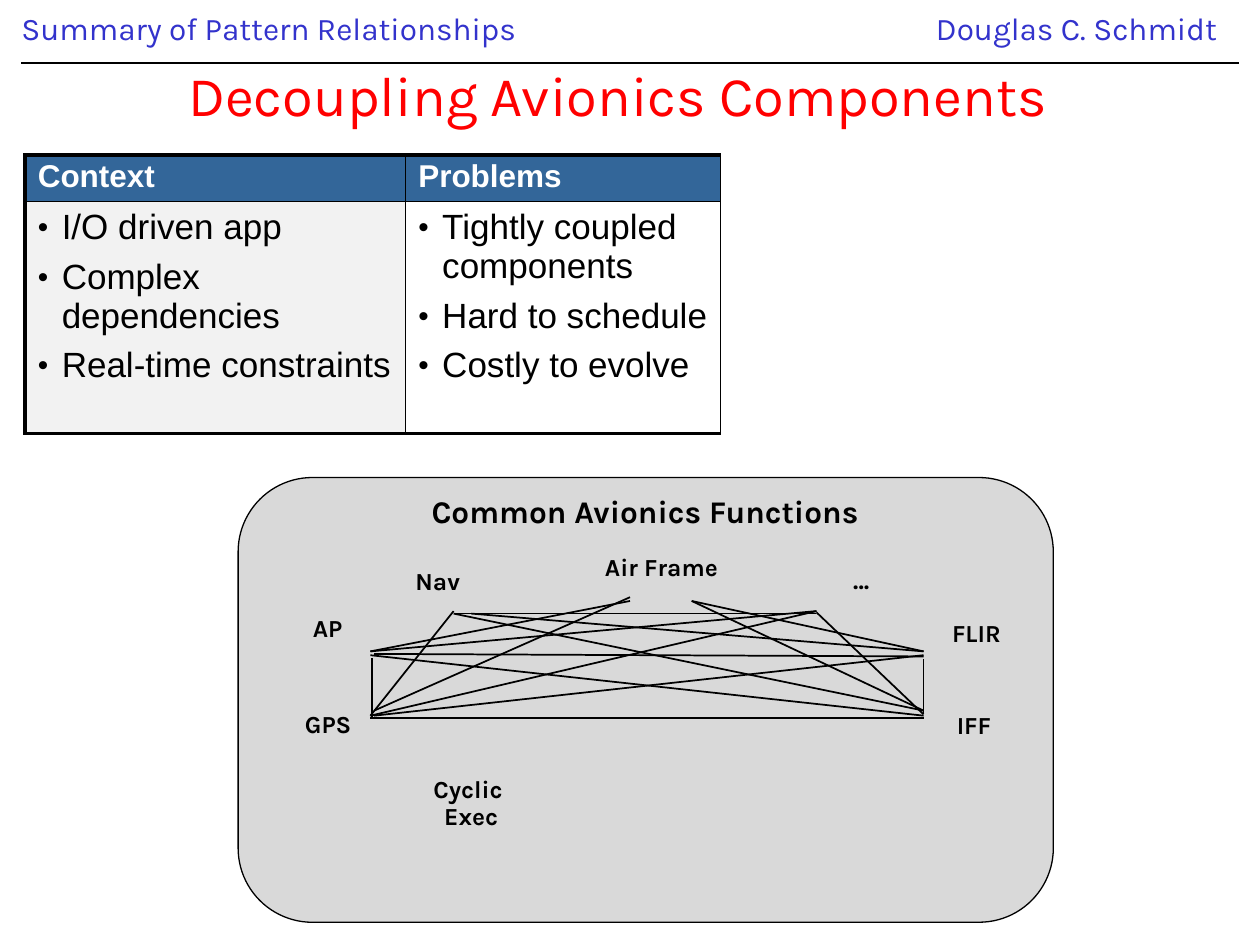
"""Build the slide on decoupling avionics components."""
from copy import deepcopy
from dataclasses import dataclass

from lxml import etree
from pptx import Presentation
from pptx import util as u
from pptx.dml.color import RGBColor
from pptx.enum import shapes, text
from pptx.oxml.ns import qn


@dataclass(frozen=True)
class Theme:
    black: str = "000000"
    white: str = "FFFFFF"
    blue: str = "3333CC"
    red: str = "FF0000"
    header: str = "336699"
    cell: str = "F2F2F2"
    panel: str = "D9D9D9"
    title_size: int = 32
    bullet_size: int = 20
    head_size: int = 18
    label_size: int = 14
    main: str = "Karla"
    table: str = "Arial"


T = Theme()
LEFT, CENTER = text.PP_ALIGN.LEFT, text.PP_ALIGN.CENTER


def write(tf, content, font=T.main, size=T.head_size, color=T.black, bold=False,
          align=LEFT, spacing=None, bullet=False):
    for i, line in enumerate(content.split("\n")):
        p = tf.paragraphs[0] if i == 0 else tf.add_paragraph()
        p.text = line
        p.alignment = align
        if spacing:
            p.line_spacing = spacing
        if bullet:
            p.space_before = u.Pt(6 if i else 0)
            pPr = p._p.get_or_add_pPr()
            pPr.set("marL", str(u.Inches(0.19)))
            pPr.set("indent", str(u.Inches(-0.19)))
            clr = etree.SubElement(pPr, qn("a:buClr"))
            etree.SubElement(clr, qn("a:srgbClr"), val=T.black)
            etree.SubElement(pPr, qn("a:buSzPct"), val="85000")
            etree.SubElement(pPr, qn("a:buFont"), typeface=font)
            etree.SubElement(pPr, qn("a:buChar"), char="•")
        for r in p.runs:
            r.font.name, r.font.size, r.font.bold = font, u.Pt(size), bold
            r.font.color.rgb = RGBColor.from_string(color)
        for br in p._p.findall(qn("a:br")):
            br.append(deepcopy(p.runs[0]._r.rPr))


prs = Presentation()
prs.slide_width, prs.slide_height = u.Inches(10), u.Inches(7.5)
s = prs.slides.add_slide(prs.slide_layouts[6])

panel = s.shapes.add_shape(shapes.MSO_SHAPE.ROUNDED_RECTANGLE,
                           u.Inches(1.89), u.Inches(3.79), u.Inches(6.47), u.Inches(3.53))
panel.shadow.inherit = False
panel.adjustments[0] = 0.167
panel.fill.solid()
panel.fill.fore_color.rgb = RGBColor.from_string(T.panel)
panel.line.color.rgb = RGBColor.from_string(T.black)
panel.line.width = u.Pt(0.75)

header_rule = (0.17, 0.5, 9.83, 0.5)
dependencies = [
    (2.95, 5.69, 2.95, 5.22), (2.94, 5.68, 3.6, 4.85), (2.97, 5.64, 5, 4.74),
    (2.94, 5.68, 6.48, 4.85), (2.97, 5.68, 7.33, 5.2), (2.94, 5.7, 7.33, 5.7),
    (2.94, 5.2, 7.33, 5.68), (3.6, 4.87, 7.33, 5.64), (5.49, 4.77, 7.33, 5.64),
    (6.48, 4.86, 7.33, 5.67), (7.33, 5.23, 7.33, 5.67), (2.97, 5.19, 7.33, 5.21),
    (3.62, 4.87, 6.48, 4.87), (3.74, 4.87, 7.33, 5.17), (2.94, 5.17, 6.48, 4.85),
    (2.94, 5.17, 5, 4.77), (5.49, 4.77, 7.33, 5.17),
]
for ends in [header_rule, *dependencies]:
    line = s.shapes.add_connector(shapes.MSO_CONNECTOR.STRAIGHT, *map(u.Inches, ends))
    line.line.color.rgb = RGBColor.from_string(T.black)
    line.line.width = u.Pt(0.75 if ends == header_rule else 1)
    etree.SubElement(line._element.spPr, qn("a:effectLst"))

running = dict(color=T.blue, spacing=0.9)
heading = dict(bold=True, align=CENTER, spacing=0.9)
label = dict(heading, size=T.label_size)
texts = [
    ((0.17, 0.06, 5.92, 0.37), "Summary of Pattern Relationships", running),
    ((7.33, 0.06, 2.51, 0.4), "Douglas C. Schmidt", running),
    ((-0.07, 0.25, 9.95, 1), "Decoupling Avionics Components",
     dict(size=T.title_size, color=T.red, align=CENTER)),
    ((3.21, 3.89, 3.82, 0.37), "Common Avionics Functions", heading),
    ((4.68, 4.37, 1.14, 0.3), "Air Frame", label),
    ((2.38, 4.85, 0.44, 0.3), "AP", label),
    ((3.21, 4.48, 0.53, 0.3), "Nav", label),
    ((6.65, 4.47, 0.37, 0.3), "…", label),
    ((2.31, 5.61, 0.59, 0.3), "GPS", label),
    ((7.5, 5.62, 0.46, 0.3), "IFF", label),
    ((7.45, 4.89, 0.6, 0.3), "FLIR", label),
    ((3.34, 6.13, 0.8, 0.51), "Cyclic \vExec", label),
]
for box, content, fmt in texts:
    sp = s.shapes.add_textbox(*map(u.Inches, box))
    tf = sp.text_frame
    tf.word_wrap = fmt is not label
    tf.auto_size = text.MSO_AUTO_SIZE.SHAPE_TO_FIT_TEXT
    if fmt is label:
        tf.margin_left = tf.margin_right = u.Inches(0.04)
        tf.margin_top = tf.margin_bottom = u.Inches(0.04)
    elif fmt.get("size") == T.title_size:
        tf.auto_size = text.MSO_AUTO_SIZE.NONE
        tf.vertical_anchor = text.MSO_ANCHOR.MIDDLE
    elif box[0] == header_rule[0]:
        tf.margin_left = tf.margin_right = 0
    write(tf, content, **fmt)

columns = [
    (3.02, "Context", "I/O driven app\nComplex dependencies\nReal-time constraints", T.cell),
    (2.5, "Problems", "Tightly coupled components\nHard to schedule\nCostly to evolve", None),
]
table = s.shapes.add_table(2, 2, u.Inches(0.2), u.Inches(1.23),
                           u.Inches(5.52), u.Inches(2.21)).table
table.first_row = table.horz_banding = False
table.rows[0].height, table.rows[1].height = u.Inches(0.37), u.Inches(1.84)
for col, (width, head, points, body_fill) in enumerate(columns):
    table.columns[col].width = u.Inches(width)
    head_cell = table.cell(0, col)
    head_cell.margin_top = head_cell.margin_bottom = u.Inches(0.03)
    write(head_cell.text_frame, head, font=T.table, color=T.white, bold=True)
    write(table.cell(1, col).text_frame, points, font=T.table, size=T.bullet_size, bullet=True)
    for row, fill in enumerate((T.header, body_fill)):
        cell = table.cell(row, col)
        thick = {"L": col == 0, "R": False, "T": row == 0, "B": row == 1}
        for side, is_thick in thick.items():
            ln = etree.SubElement(cell._tc.get_or_add_tcPr(), qn(f"a:ln{side}"),
                                  w=str(u.Pt(2.25 if is_thick else 1)))
            solid = etree.SubElement(ln, qn("a:solidFill"))
            etree.SubElement(solid, qn("a:srgbClr"), val=T.black)
        if fill:
            cell.fill.solid()
            cell.fill.fore_color.rgb = RGBColor.from_string(fill)
        else:
            cell.fill.background()

prs.save("out.pptx")
